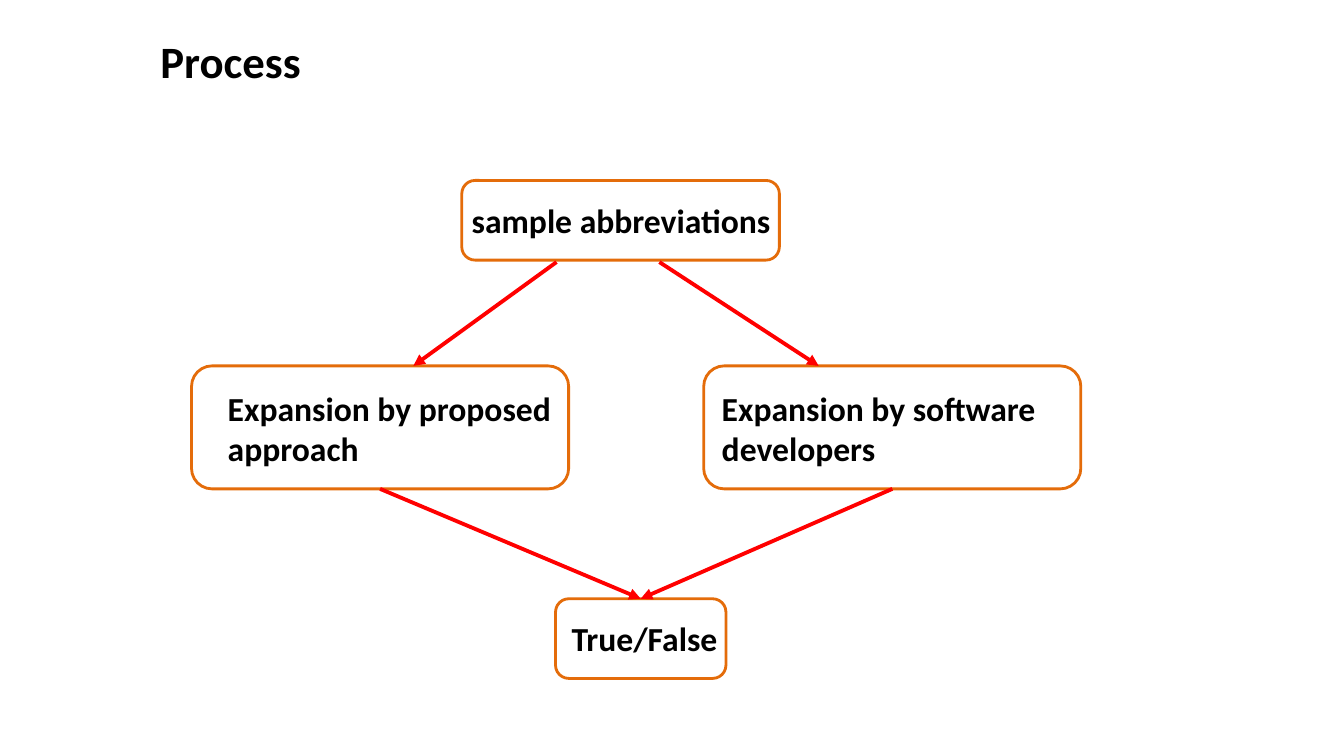
from dataclasses import dataclass

from lxml.etree import SubElement
from pptx import Presentation
from pptx.dml.color import RGBColor
from pptx.enum.shapes import MSO_CONNECTOR, MSO_SHAPE
from pptx.enum.text import MSO_ANCHOR, MSO_AUTO_SIZE
from pptx.oxml.ns import qn
from pptx.util import Inches, Pt


@dataclass(frozen=True)
class Theme:
    font: str = "Calibri"
    text: RGBColor = RGBColor(0, 0, 0)
    outline: RGBColor = RGBColor(0xE4, 0x6C, 0x0A)
    arrow: RGBColor = RGBColor(0xFF, 0, 0)
    title_size: int = 32
    label_size: int = 24
    outline_width: float = 2
    arrow_width: float = 2.75


THEME = Theme()
TITLE = ("Process", (1.52, 0.28, 2.27, 0.64))

# step: label, outline box, label box (left, top, width, height)
STEPS = {
    "sample": ("sample abbreviations", (4.58, 1.79, 3.15, 0.79), (4.58, 1.93, 3.39, 0.5)),
    "proposed": ("Expansion by proposed approach", (1.9, 3.63, 3.74, 1.22), (2.16, 3.8, 3.48, 0.91)),
    "developers": ("Expansion by software developers", (6.98, 3.63, 3.74, 1.22), (7.06, 3.8, 4.02, 0.91)),
    "verdict": ("True/False", (5.51, 5.94, 1.69, 0.79), (5.57, 6.08, 1.69, 0.5)),
}
SPLIT_ARROWS = [((5.52, 2.6), (4.1, 3.63)), ((6.54, 2.6), (8.12, 3.63))]
MERGE_ARROWS = [("proposed", "verdict"), ("developers", "verdict")]
TOP, BOTTOM = 0, 2


def inches(values):
    return [Inches(value) for value in values]


def add_label(shapes, wording, box, size):
    label = shapes.add_textbox(*inches(box))
    frame = label.text_frame
    frame.word_wrap = True
    frame.text = wording
    font = frame.paragraphs[0].runs[0].font
    font.name, font.size, font.bold = THEME.font, Pt(size), True
    font.color.rgb = THEME.text
    return frame


def add_step(slide, wording, outline_box, label_box):
    """Group a rounded outline with its label and return the outline."""
    group = slide.shapes.add_group_shape()
    outline = group.shapes.add_shape(MSO_SHAPE.ROUNDED_RECTANGLE, *inches(outline_box))
    outline.shadow.inherit = False
    outline.fill.background()
    outline.line.color.rgb = THEME.outline
    outline.line.width = Pt(THEME.outline_width)
    frame = add_label(group.shapes, wording, label_box, THEME.label_size)
    frame.auto_size = MSO_AUTO_SIZE.SHAPE_TO_FIT_TEXT
    return outline


def add_arrow(slide, start=(0, 0), end=(0, 0)):
    arrow = slide.shapes.add_connector(MSO_CONNECTOR.STRAIGHT, *inches(start + end))
    arrow.line.color.rgb = THEME.arrow
    arrow.line.width = Pt(THEME.arrow_width)
    SubElement(arrow.line._get_or_add_ln(), qn("a:tailEnd"), type="triangle")
    SubElement(arrow._element.spPr, qn("a:effectLst"))
    return arrow


def main():
    deck = Presentation()
    deck.slide_width, deck.slide_height = Inches(13.33), Inches(7.5)
    slide = deck.slides.add_slide(deck.slide_layouts[6])

    title = add_label(slide.shapes, *TITLE, THEME.title_size)
    title.vertical_anchor = MSO_ANCHOR.MIDDLE
    title.margin_left = title.margin_right = Inches(0.07)
    title.margin_top = title.margin_bottom = Inches(0.04)

    outlines = {step: add_step(slide, *content) for step, content in STEPS.items()}
    for start, end in SPLIT_ARROWS:
        add_arrow(slide, start, end)
    for source, target in MERGE_ARROWS:
        arrow = add_arrow(slide)
        arrow.begin_connect(outlines[source], BOTTOM)
        arrow.end_connect(outlines[target], TOP)

    deck.save("out.pptx")


if __name__ == "__main__":
    main()
